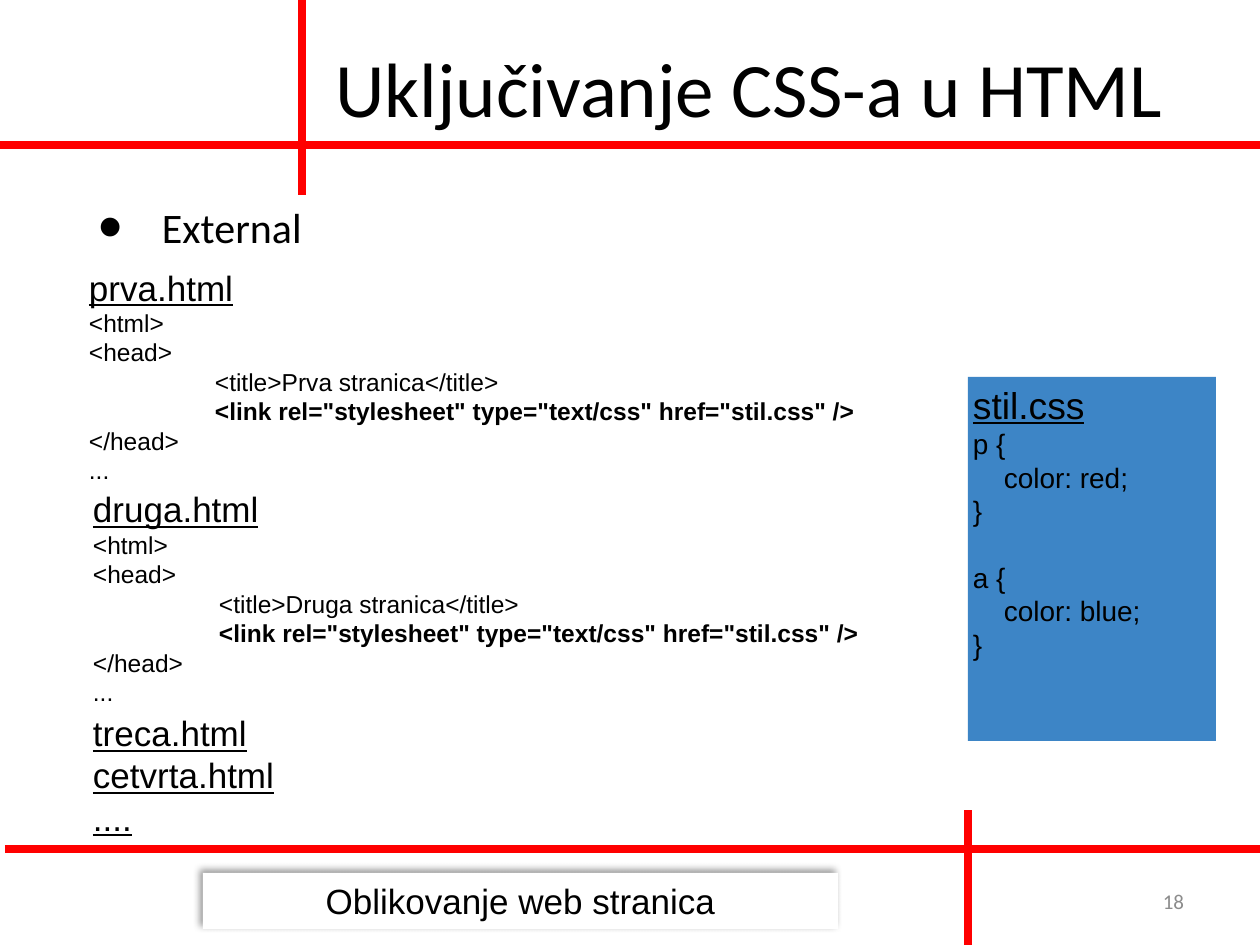
import pptx
import pptx.dml.color
import pptx.enum.shapes
import pptx.enum.text
import pptx.oxml
import pptx.oxml.ns
import pptx.util

PX = 914400 // 126
THEME = {
    "text": "000000", "muted": "8C8C8C", "rule": "FF0000", "panel": "3D85C6", "paper": "FFFFFF",
    "heading": "Calibri", "code": "Arial",
    "title": 44, "topic": 24, "file": 20, "css_file": 21.3, "css": 16, "html": 14, "number": 12,
}
NS = pptx.oxml.ns.nsdecls("a")
ALIGN = pptx.enum.text.PP_ALIGN
ANCHOR = pptx.enum.text.MSO_ANCHOR
RECTANGLE = pptx.enum.shapes.MSO_SHAPE.RECTANGLE


def rgb(name):
    return pptx.dml.color.RGBColor.from_string(THEME[name])


def add_text(place, lines, face, inset=(5, 5), anchor=ANCHOR.TOP, fill=None):
    """Each line is (text, size name, format values); indent and before are in px."""
    place = [n * PX for n in place]
    if fill:
        box = page.shapes.add_shape(RECTANGLE, *place)
        box.shadow.inherit = False
        box.fill.solid()
        box.fill.fore_color.rgb = rgb(fill)
        box.line.fill.background()
    else:
        box = page.shapes.add_textbox(*place)
    frame = box.text_frame
    across, down = inset
    frame_format = {"word_wrap": True, "vertical_anchor": anchor,
                    "margin_left": across * PX, "margin_right": across * PX,
                    "margin_top": down * PX, "margin_bottom": down * PX}
    for key, value in frame_format.items():
        setattr(frame, key, value)
    for number, (text, size, style) in enumerate(lines):
        para = frame.paragraphs[0] if number == 0 else frame.add_paragraph()
        para.alignment = style.get("align", ALIGN.LEFT)
        if "before" in style:
            para.space_before = style["before"] * PX
        if "indent" in style:
            para._p.get_or_add_pPr().set("marL", str(style["indent"] * PX))
        span = para.add_run()
        span.text = text
        font_format = {"name": THEME[face], "size": pptx.util.Pt(THEME[size]),
                       "bold": style.get("bold", False), "underline": style.get("underline", False)}
        for key, value in font_format.items():
            setattr(span.font, key, value)
        span.font.color.rgb = rgb(style.get("color", "text"))
    return box


deck = pptx.Presentation()
deck.slide_width, deck.slide_height = 1260 * PX, 945 * PX
page = deck.slides.add_slide(deck.slide_layouts[6])

# Title and slide number
add_text((302, 8, 895, 157), [("Uključivanje CSS-a u HTML", "title", {"align": ALIGN.CENTER})],
         "heading", (13, 6), ANCHOR.MIDDLE)
add_text((903, 876, 294, 50), [("18", "number", {"align": ALIGN.RIGHT, "color": "muted"})],
         "heading", (13, 6), ANCHOR.MIDDLE)

# Footer with a soft shadow
footer = add_text((203, 873, 635, 56), [("Oblikovanje web stranica", "file", {"align": ALIGN.CENTER})],
                  "code", (13, 6), ANCHOR.MIDDLE, "paper")
footer._element.spPr.find(pptx.oxml.ns.qn("a:effectLst")).append(pptx.oxml.parse_xml(
    f'<a:outerShdw {NS} blurRad="50800" dist="38100" dir="13500000" algn="br" rotWithShape="0">'
    f'<a:srgbClr val="{THEME["text"]}"><a:alpha val="40000"/></a:srgbClr></a:outerShdw>'))

# Red crossing rules
for ends in [(0, 145, 1260, 145), (302, 195, 302, -4), (5, 849, 1265, 849), (968, 949, 968, 810)]:
    rule = page.shapes.add_connector(pptx.enum.shapes.MSO_CONNECTOR.STRAIGHT, *[n * PX for n in ends])
    rule.line.color.rgb = rgb("rule")
    rule.line.width = pptx.util.Pt(5)
    rule._element.spPr.append(pptx.oxml.parse_xml(f"<a:effectLst {NS}/>"))

# Bulleted topic
topic = add_text((63, 195, 1134, 624), [("External", "topic", {"indent": 86})], "heading", (13, 6))
bullet = topic.text_frame.paragraphs[0]._p.get_or_add_pPr()
bullet.set("indent", str(-63 * PX))
for mark in (f'<a:buClr {NS}><a:srgbClr val="{THEME["text"]}"/></a:buClr>',
             f'<a:buSzPct {NS} val="165000"/>', f'<a:buFont {NS} typeface="Arial"/>',
             f'<a:buChar {NS} char="•"/>'):
    bullet.append(pptx.oxml.parse_xml(mark))

# HTML files that share the style sheet
for name, title, place in [("prva.html", "Prva stranica", (84, 261, 784, 232)),
                           ("druga.html", "Druga stranica", (88, 483, 780, 224))]:
    add_text(place, [
        (name, "file", {"underline": True}),
        ("<html>", "html", {}),
        ("<head>", "html", {}),
        (f"<title>{title}</title>", "html", {"indent": 126}),
        ('<link rel="stylesheet" type="text/css" href="stil.css" />', "html",
         {"indent": 126, "bold": True}),
        ("</head>", "html", {}),
        ("...", "html", {}),
    ], "code")
add_text((88, 707, 780, 142),
         [(name, "file", {"underline": True}) for name in ("treca.html", "cetvrta.html", "....")], "code")

# Style sheet panel
sheet = [("stil.css", "css_file", {"underline": True})]
for selector, colour, before in [("p", "red", 0), ("a", "blue", 33)]:
    sheet += [(f"{selector} {{", "css", {"before": before}),
              (f"color: {colour};", "css", {"indent": 31}),
              ("}", "css", {})]
add_text((968, 377, 248, 364), sheet, "code", fill="panel")

deck.save("out.pptx")
